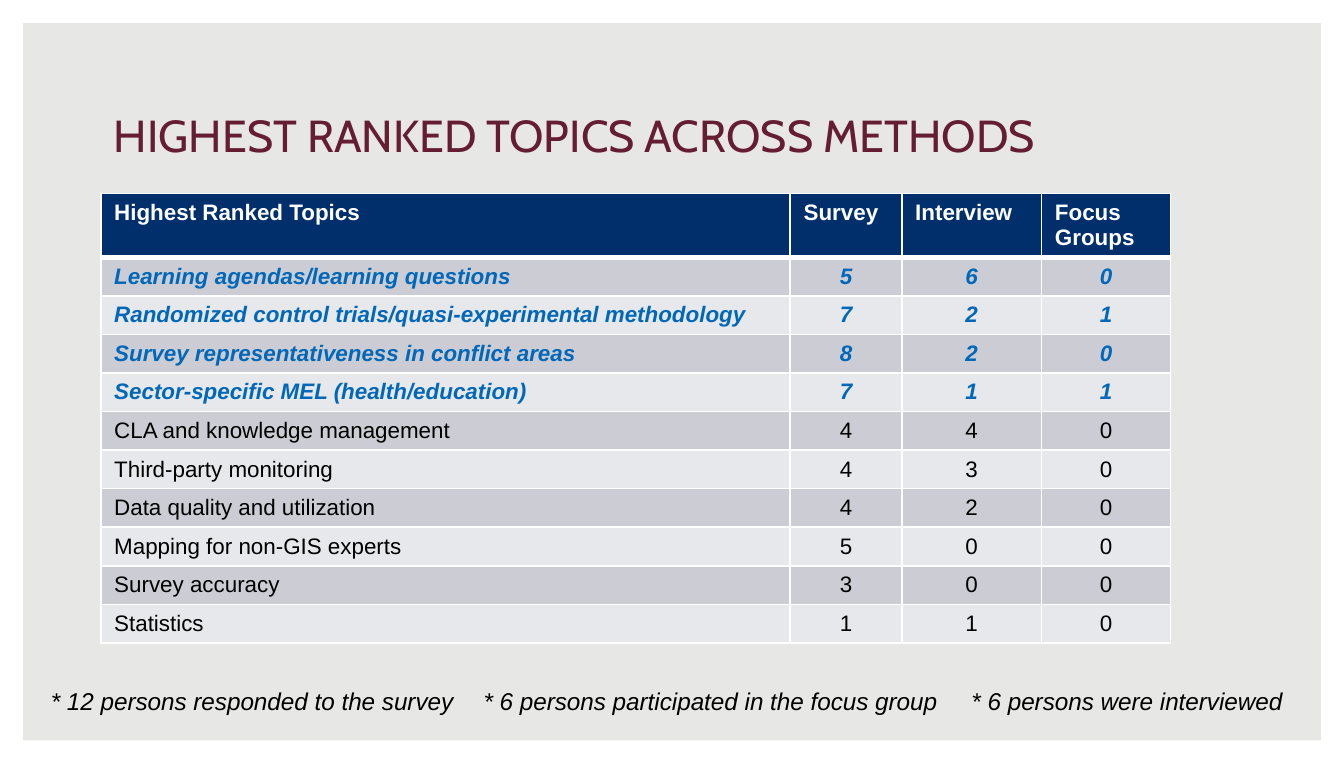
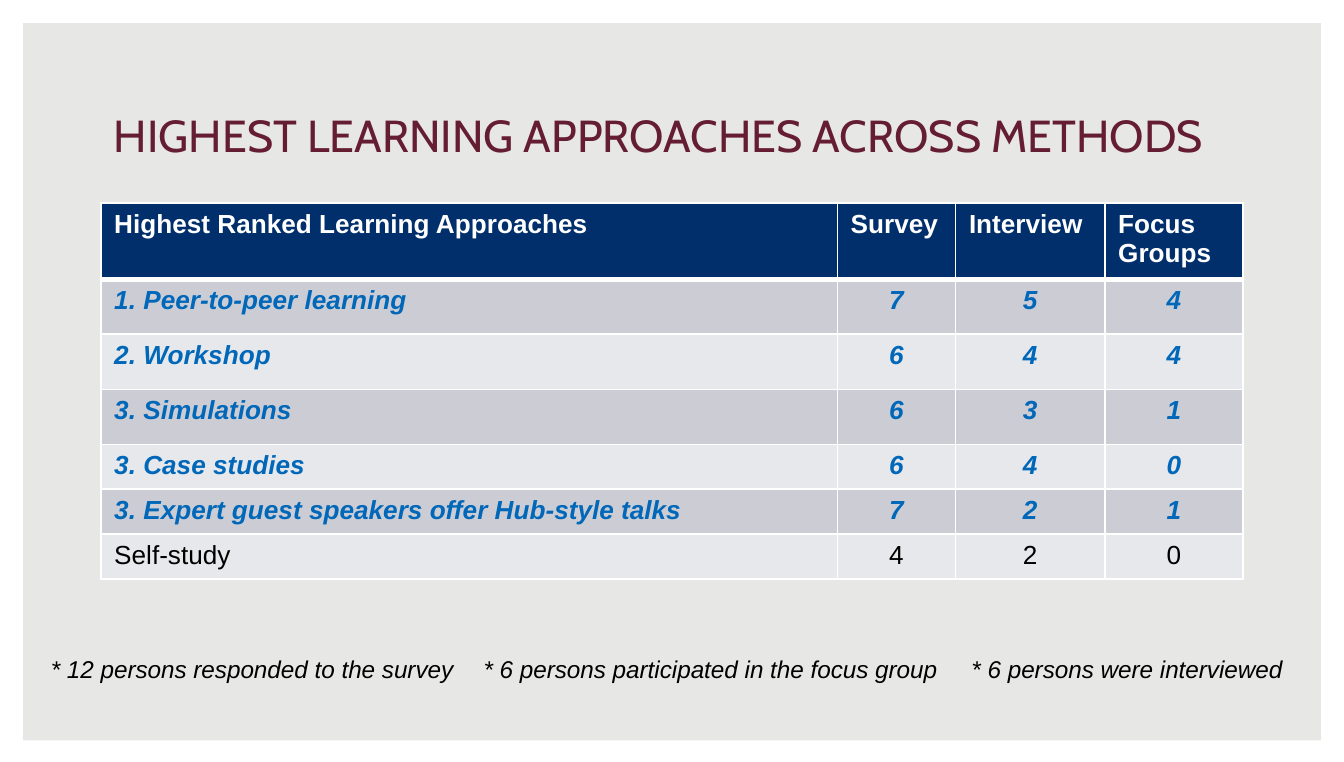
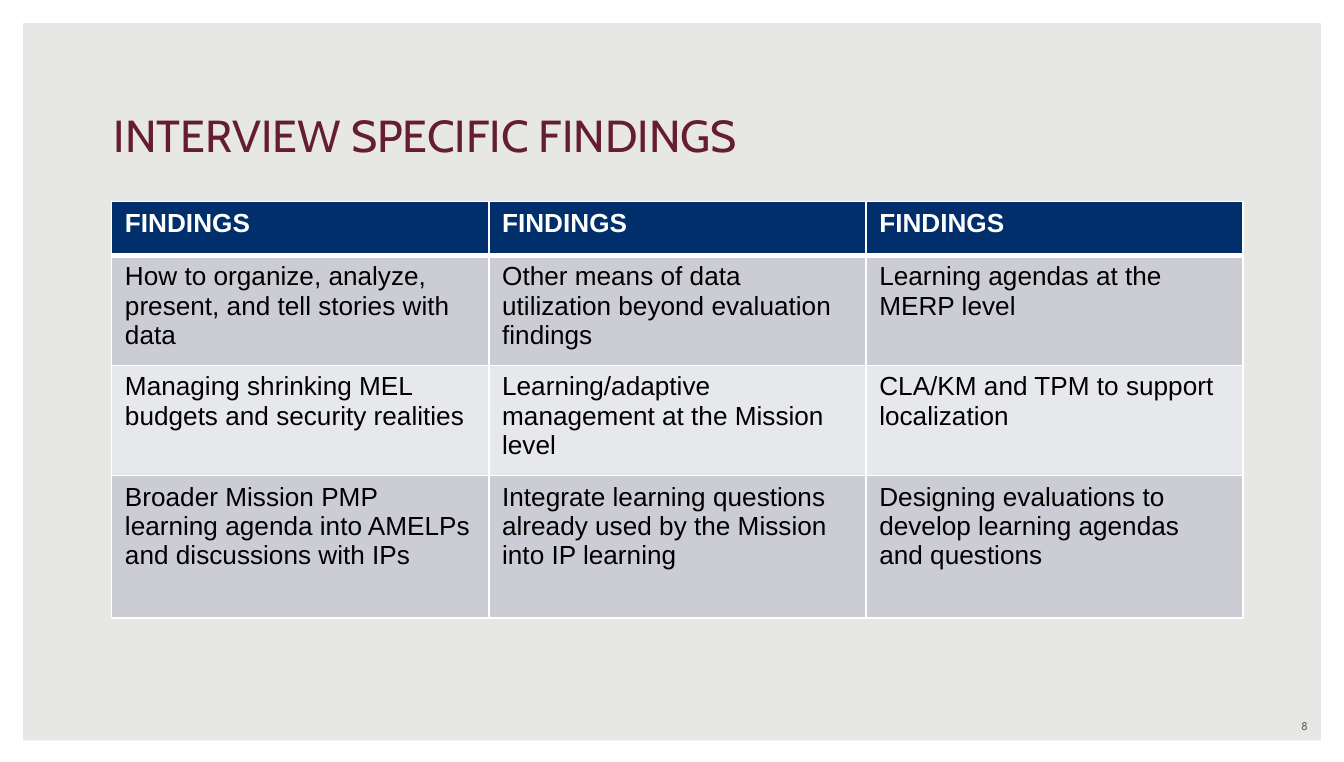
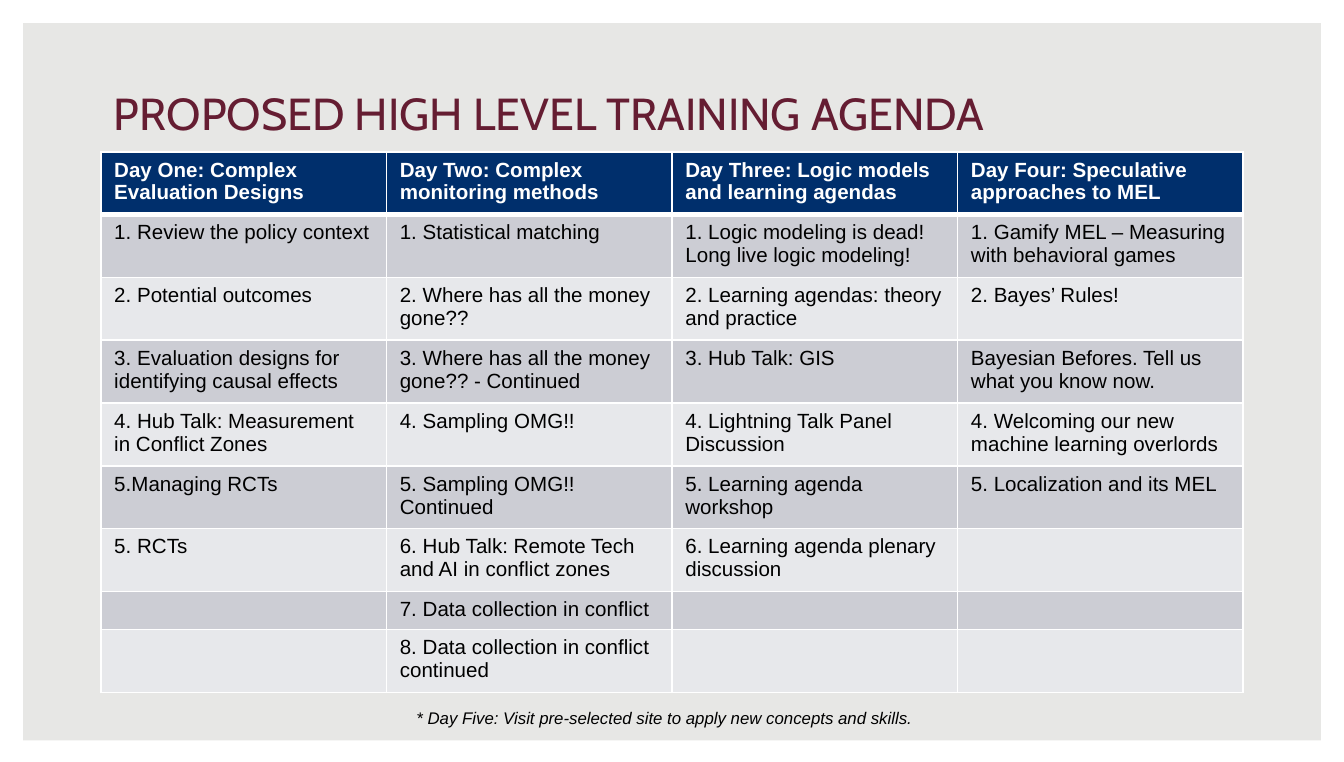
from lxml import etree
from pptx import Presentation
from pptx.dml.color import RGBColor
from pptx.enum.shapes import MSO_SHAPE
from pptx.enum.text import MSO_ANCHOR, MSO_AUTO_SIZE, PP_ALIGN
from pptx.oxml.ns import qn
from pptx.util import Inches, Pt

# Shared style
BACKGROUND, WHITE, BLACK = "E7E7E5", "FFFFFF", "000000"
MAROON, NAVY, BLUE, GRAY = "651D32", "002F6C", "0067B9", "6C6463"
BANDS = ["CCCDD4", "E7E8EB"]
BODY_FONT, TITLE_FONT = "Arial", "Cabin"
LEFT, WIDTH = 0.75, 8.5


def rgb(value):
    return RGBColor.from_string(value)


class Slides:
    """Holds the deck, its style and the current page."""

    def __init__(self):
        self.deck = Presentation()
        self.deck.slide_width, self.deck.slide_height = Inches(10), Inches(5.67)
        background = self.deck.slide_master.background.fill
        background.solid()
        background.fore_color.rgb = rgb(BACKGROUND)

    def new_page(self, title, top=0.74, height=0.51):
        self.page = self.deck.slides.add_slide(self.deck.slide_layouts[6])
        self.frame()
        self.text(title, (LEFT, top, WIDTH, height), anchor=MSO_ANCHOR.BOTTOM,
                  size=24, name=TITLE_FONT, color=MAROON)

    def frame(self):
        frame = self.page.shapes.add_shape(
            MSO_SHAPE.FRAME, 0, 0, Inches(10), Inches(5.68))
        frame.adjustments[0] = 0.03
        frame.shadow.inherit = False
        frame.fill.solid()
        frame.fill.fore_color.rgb = rgb(WHITE)
        frame.line.fill.background()

    def span(self, para, text, size, color=BLACK, **formats):
        span = para.add_run()
        span.text = text
        formats = {"name": BODY_FONT, "size": Pt(size), **formats}
        for key, value in formats.items():
            setattr(span.font, key, value)
        span.font.color.rgb = rgb(color)

    def text(self, text, place, anchor=MSO_ANCHOR.TOP, align=PP_ALIGN.LEFT,
             grow=False, **formats):
        box = self.page.shapes.add_textbox(*map(Inches, place)).text_frame
        box.word_wrap = True
        box.vertical_anchor = anchor
        box.auto_size = MSO_AUTO_SIZE.SHAPE_TO_FIT_TEXT if grow else MSO_AUTO_SIZE.NONE
        para = box.paragraphs[0]
        para.alignment = align
        self.span(para, text, **formats)

    def note(self, text, place, size):
        self.text(text, place, grow=True, size=size, italic=True)

    def respondents(self, top):
        for text, left, width in [
            ("* 12 persons responded to the survey", 0.28, 3.64),
            ("* 6 persons participated in the focus group", 3.5, 3.93),
            ("* 6 persons were interviewed", 7.13, 2.79),
        ]:
            self.note(text, (left, top, width, 0.32), 13)

    def borders(self, cell, row):
        # The rule under the header is thicker than the others
        weights = {"L": 1, "R": 1, "T": 3 if row == 1 else 1, "B": 3 if row == 0 else 1}
        properties = cell._tc.get_or_add_tcPr()
        for side, weight in weights.items():
            line = etree.SubElement(properties, qn(f"a:ln{side}"), w=str(Pt(weight)))
            fill = etree.SubElement(line, qn("a:solidFill"))
            etree.SubElement(fill, qn("a:srgbClr"), val=WHITE)

    def table(self, rows, place, columns, heights, size, highlighted=0, scores=False):
        holder = self.page.shapes.add_table(
            len(rows), len(columns), *map(Inches, place))
        table = holder.table
        table.horz_banding = False
        for column, width in zip(table.columns, columns):
            column.width = Inches(width)
        for row, height in zip(table.rows, heights):
            row.height = Inches(height)
        for i, values in enumerate(rows):
            if i == 0:
                fill, style = NAVY, {"color": WHITE, "bold": True}
            else:
                fill, style = BANDS[(i - 1) % 2], {"bold": False}
                if i <= highlighted:
                    style = {"color": BLUE, "bold": True, "italic": True}
            for j, value in enumerate(values):
                cell = table.cell(i, j)
                self.borders(cell, i)
                cell.fill.solid()
                cell.fill.fore_color.rgb = rgb(fill)
                para = cell.text_frame.paragraphs[0]
                if scores and i and j:
                    para.alignment = PP_ALIGN.CENTER
                if value:
                    self.span(para, value, size, **style)
                else:
                    # Keeps an empty cell from stretching its row
                    etree.SubElement(para._p, qn("a:endParaRPr"), sz=str(size * 100))


METHODS = ["Survey", "Interview", "Focus Groups"]

TOPICS = [
    ["Highest Ranked Topics", *METHODS],
    ["Learning agendas/learning questions", "5", "6", "0"],
    ["Randomized control trials/quasi-experimental methodology", "7", "2", "1"],
    ["Survey representativeness in conflict areas", "8", "2", "0"],
    ["Sector-specific MEL (health/education)", "7", "1", "1"],
    ["CLA and knowledge management", "4", "4", "0"],
    ["Third-party monitoring", "4", "3", "0"],
    ["Data quality and utilization", "4", "2", "0"],
    ["Mapping for non-GIS experts", "5", "0", "0"],
    ["Survey accuracy", "3", "0", "0"],
    ["Statistics", "1", "1", "0"],
]

APPROACHES = [
    ["Highest Ranked Learning Approaches", *METHODS],
    ["1. Peer-to-peer learning", "7", "5", "4"],
    ["2. Workshop", "6", "4", "4"],
    ["3. Simulations", "6", "3", "1"],
    ["3. Case studies", "6", "4", "0"],
    ["3. Expert guest speakers offer Hub-style talks", "7", "2", "1"],
    ["Self-study", "4", "2", "0"],
]

FINDINGS = [
    ["FINDINGS"] * 3,
    ["How to organize, analyze, present, and tell stories with data",
     "Other means of data utilization beyond evaluation findings",
     "Learning agendas at the MERP level"],
    ["Managing shrinking MEL budgets and security realities",
     "Learning/adaptive management at the Mission level",
     "CLA/KM and TPM to support localization"],
    ["Broader Mission PMP learning agenda into AMELPs and discussions with IPs",
     "Integrate learning questions already used by the Mission into IP learning",
     "Designing evaluations to develop learning agendas and questions"],
]

AGENDA = [
    ["Day One: Complex Evaluation Designs", "Day Two: Complex monitoring methods",
     "Day Three: Logic models and learning agendas",
     "Day Four: Speculative approaches to MEL"],
    ["1. Review the policy context", "1. Statistical matching",
     "1. Logic modeling is dead! Long live logic modeling!",
     "1. Gamify MEL – Measuring with behavioral games"],
    ["2. Potential outcomes", "2. Where has all the money gone??",
     "2. Learning agendas: theory and practice", "2. Bayes’ Rules!"],
    ["3. Evaluation designs for identifying causal effects",
     "3. Where has all the money gone?? - Continued", "3. Hub Talk: GIS",
     "Bayesian Befores. Tell us what you know now."],
    ["4. Hub Talk: Measurement in Conflict Zones", "4. Sampling OMG!!",
     "4. Lightning Talk Panel Discussion",
     "4. Welcoming our new machine learning overlords"],
    ["5.Managing RCTs", "5. Sampling OMG!! Continued",
     "5. Learning agenda workshop", "5. Localization and its MEL"],
    ["5. RCTs", "6. Hub Talk: Remote Tech and AI in conflict zones",
     "6. Learning agenda plenary discussion", ""],
    ["", "7. Data collection in conflict", "", ""],
    ["", "8. Data collection in conflict continued", "", ""],
]


def main():
    slides = Slides()

    # Topics
    slides.new_page("HIGHEST RANKED TOPICS ACROSS METHODS")
    slides.table(TOPICS, (LEFT, 1.44, 7.96, 3.5), [5.13, 0.83, 1.04, 0.96],
                 [0.45] + [0.27] * 10, size=12, highlighted=4, scores=True)
    slides.respondents(5.06)

    # Learning approaches
    slides.new_page("HIGHEST LEARNING APPROACHES ACROSS METHODS")
    slides.table(APPROACHES, (LEFT, 1.51, WIDTH, 2.78), [5.48, 0.88, 1.11, 1.03],
                 [0.41] * 4 + [0.2, 0.33, 0.33], size=14, highlighted=5, scores=True)
    slides.respondents(4.82)

    # Interview findings
    slides.new_page("INTERVIEW SPECIFIC FINDINGS")
    slides.text("8", (7.5, 5.3, 2.33, 0.2), anchor=MSO_ANCHOR.MIDDLE,
                align=PP_ALIGN.RIGHT, size=6, name=TITLE_FONT, color=GRAY)
    slides.table(FINDINGS, (0.83, 1.5, 8.42, 3.11), [8.42 / 3] * 3,
                 [0.4, 0.82, 0.82, 1.06], size=14)

    # Training agenda
    slides.new_page("PROPOSED HIGH LEVEL TRAINING AGENDA", top=0.18, height=0.91)
    slides.table(AGENDA, (LEFT, 1.13, WIDTH, 4.02), [WIDTH / 4] * 4,
                 [0.41] * 7 + [0.25, 0.41], size=11)
    slides.note("* Day Five: Visit pre-selected site to apply new concepts and skills.",
                (3, 5.22, 4, 0.25), 9)

    slides.deck.save("out.pptx")


if __name__ == "__main__":
    main()
